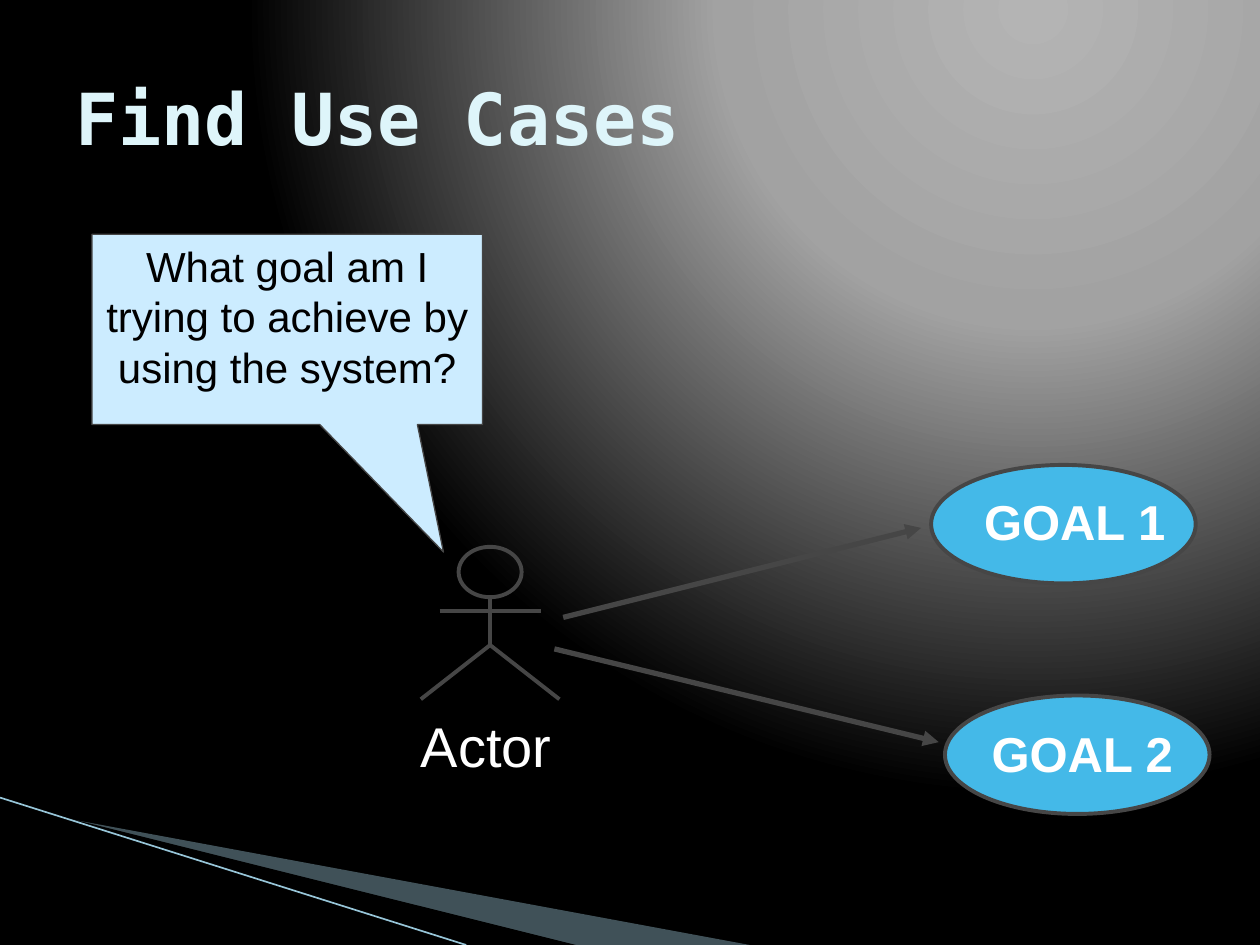
from dataclasses import dataclass
from typing import NamedTuple

from lxml.etree import SubElement
from pptx import Presentation
from pptx.dml.color import RGBColor as Rgb
from pptx.enum.shapes import MSO_CONNECTOR as Conn, MSO_SHAPE as Kind
from pptx.enum.text import MSO_ANCHOR as Anchor, MSO_AUTO_SIZE as Fit, PP_ALIGN as Align
from pptx.oxml.ns import qn
from pptx.util import Inches, Pt

CELL = 0.1  # the slide is a grid of 100 columns by 75 rows


@dataclass(frozen=True)
class Theme:
    title: str = "DEF5FA"
    light: str = "FFFFFF"
    dark: str = "000000"
    edge: str = "464646"
    goal: str = "44B9E8"
    note: str = "CCECFF"
    wedge: str = "A0CBDC"
    rule: str = "97C5D8"
    glow: tuple = ((0, "B4B4B4"), (40, "A2A2A2"), (100, "000000"))
    mono: str = "DejaVu Sans Mono"
    sans: str = "Arial"
    head: float = 41
    name: float = 32
    label: float = 28
    body: float = 24


class Spot(NamedTuple):
    col: float
    row: float


class Box(NamedTuple):
    col: float
    row: float
    wide: float
    high: float


@dataclass(frozen=True)
class Goal:
    text: str
    oval: Box
    label: Spot
    start: Spot
    end: Spot


LOOK = Theme()
GOALS = (
    Goal("GOAL 1", Box(73.9, 36.9, 21, 9.4), Spot(76.9, 38.4), Spot(44.7, 49), Spot(73.1, 41.9)),
    Goal("GOAL 2", Box(75, 55.2, 21, 9.4), Spot(77.5, 56.8), Spot(44, 51.5), Spot(74.5, 58.9)),
)


def grid(*cells: float) -> list:
    return [Inches(cell * CELL) for cell in cells]


def paint(shape, fill: str | None = None, line: str | None = None,
          width: float = 2.25, alpha: int | None = None) -> None:
    shape.shadow.inherit = False
    if fill:
        shape.fill.solid()
        shape.fill.fore_color.rgb = Rgb.from_string(fill)
        if alpha:
            tint = shape.fill._xPr.find(".//" + qn("a:srgbClr"))
            SubElement(tint, qn("a:alpha"), val=str(alpha * 1000))
    else:
        shape.fill.background()
    if line:
        shape.line.color.rgb = Rgb.from_string(line)
        shape.line.width = Pt(width)
    else:
        shape.line.fill.background()


def shape(host, kind: Kind, box: Box, **style):
    item = host.add_shape(kind, *grid(*box))
    paint(item, **style)
    return item


def line(host, start: Spot, end: Spot, color: str = LOOK.edge,
         width: float = 2.25, arrow: bool = False) -> None:
    item = host.add_connector(Conn.STRAIGHT, *grid(*start, *end))
    item.line.color.rgb = Rgb.from_string(color)
    item.line.width = Pt(width)
    if arrow:
        SubElement(item.line._get_or_add_ln(), qn("a:tailEnd"), type="triangle")
    SubElement(item._element.spPr, qn("a:effectLst"))


def free(host, *spots: Spot, close: bool = True, **style) -> None:
    first, *rest = [tuple(grid(*spot)) for spot in spots]
    path = host.build_freeform(*first, scale=1.0)
    path.add_line_segments(rest, close=close)
    paint(path.convert_to_shape(), **style)


def write(item, text: str, *, size: float, color: str = LOOK.light, font: str = LOOK.sans,
          bold: bool = False, align: Align = Align.LEFT, anchor: Anchor = Anchor.TOP,
          pad: tuple = (1, 0.5, 1, 0.5), wrap: bool = True) -> None:
    frame = item.text_frame
    frame.word_wrap = wrap
    frame.auto_size = Fit.NONE if wrap else Fit.SHAPE_TO_FIT_TEXT
    frame.vertical_anchor = anchor
    (frame.margin_left, frame.margin_top,
     frame.margin_right, frame.margin_bottom) = grid(*pad)
    para = frame.paragraphs[0]
    para.alignment = align
    run = para.add_run()
    run.text = text
    run.font.size, run.font.name, run.font.bold = Pt(size), font, bold
    run.font.color.rgb = Rgb.from_string(color)


def label(host, box: Box, text: str, **style) -> None:
    write(host.add_textbox(*grid(*box)), text, **style)


def glow(slide) -> None:
    slide.background.fill.gradient()
    grad = slide.element.find(".//" + qn("a:gradFill"))
    for child in list(grad):
        grad.remove(child)
    stops = SubElement(grad, qn("a:gsLst"))
    for place, color in LOOK.glow:
        stop = SubElement(stops, qn("a:gs"), pos=str(place * 1000))
        SubElement(stop, qn("a:srgbClr"), val=color)
    ring = SubElement(grad, qn("a:path"), {"path": "circle"})
    SubElement(ring, qn("a:fillToRect"), l="65000", t="0", r="0", b="98000")


def decor(host) -> None:
    free(host, Spot(5.5, 65), Spot(59.5, 75), Spot(45.6, 75), fill=LOOK.wedge, alpha=40)
    free(host, Spot(5.3, 64.9), Spot(45.7, 75), Spot(37.2, 75), fill=LOOK.dark)
    line(host, Spot(0, 63.3), Spot(37, 75), color=LOOK.rule, width=0.95)


def actor(host) -> None:
    mid, neck, arms, hip, feet = 38.9, 47.4, 48.5, 51.2, 55.5
    reach, step = 4, 5.5
    body = host.add_group_shape().shapes
    shape(body, Kind.OVAL, Box(mid - 2.5, neck - 4, 5, 4), line=LOOK.edge)
    line(body, Spot(mid, neck), Spot(mid, hip))
    line(body, Spot(mid - reach, arms), Spot(mid + reach, arms))
    free(body, Spot(mid - step, feet), Spot(mid, hip), Spot(mid + step, feet),
         close=False, line=LOOK.edge)
    label(host, Box(32.4, 56, 12.4, 6.3), "Actor", size=LOOK.name,
          align=Align.CENTER, wrap=False)


def target(host, goal: Goal) -> None:
    shape(host, Kind.OVAL, goal.oval, fill=LOOK.goal, line=LOOK.edge)
    label(host, Box(*goal.label, 16.8, 5.9), goal.text, size=LOOK.label, bold=True,
          pad=(1.2, 0.6, 1.2, 0.6), wrap=False)
    line(host, goal.start, goal.end, width=3, arrow=True)


def main() -> None:
    deck = Presentation()
    deck.slide_width, deck.slide_height = grid(100, 75)
    slide = deck.slides.add_slide(deck.slide_layouts[6])
    host = slide.shapes

    # Backdrop and title
    glow(slide)
    decor(host)
    label(host, Box(5, 3, 90, 12.5), "Find Use Cases", size=LOOK.head, bold=True,
          color=LOOK.title, font=LOOK.mono, anchor=Anchor.MIDDLE)

    # Actor and the goals it points to
    actor(host)
    for goal in GOALS:
        target(host, goal)

    # The actor's question
    note = shape(host, Kind.RECTANGULAR_CALLOUT, Box(7.3, 18.6, 31, 15.1),
                 fill=LOOK.note, line=LOOK.edge, width=0.75)
    note.adjustments[0], note.adjustments[1] = 0.4, 1.17
    write(note, "What goal am I trying to achieve by using the system?", size=LOOK.body,
          color=LOOK.dark, align=Align.CENTER, pad=(1, 0.5, 1, 1.5))

    deck.save("out.pptx")


if __name__ == "__main__":
    main()
